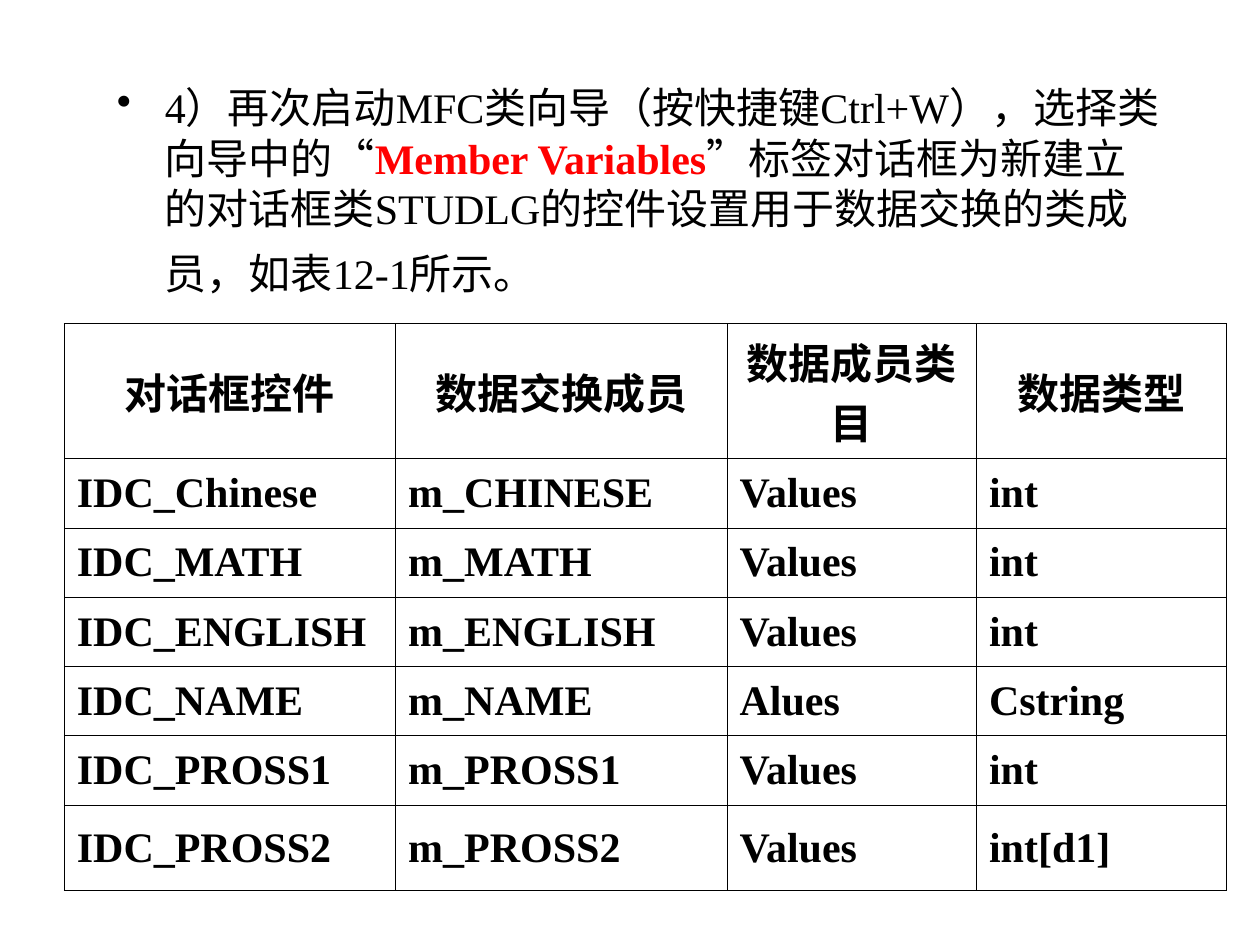
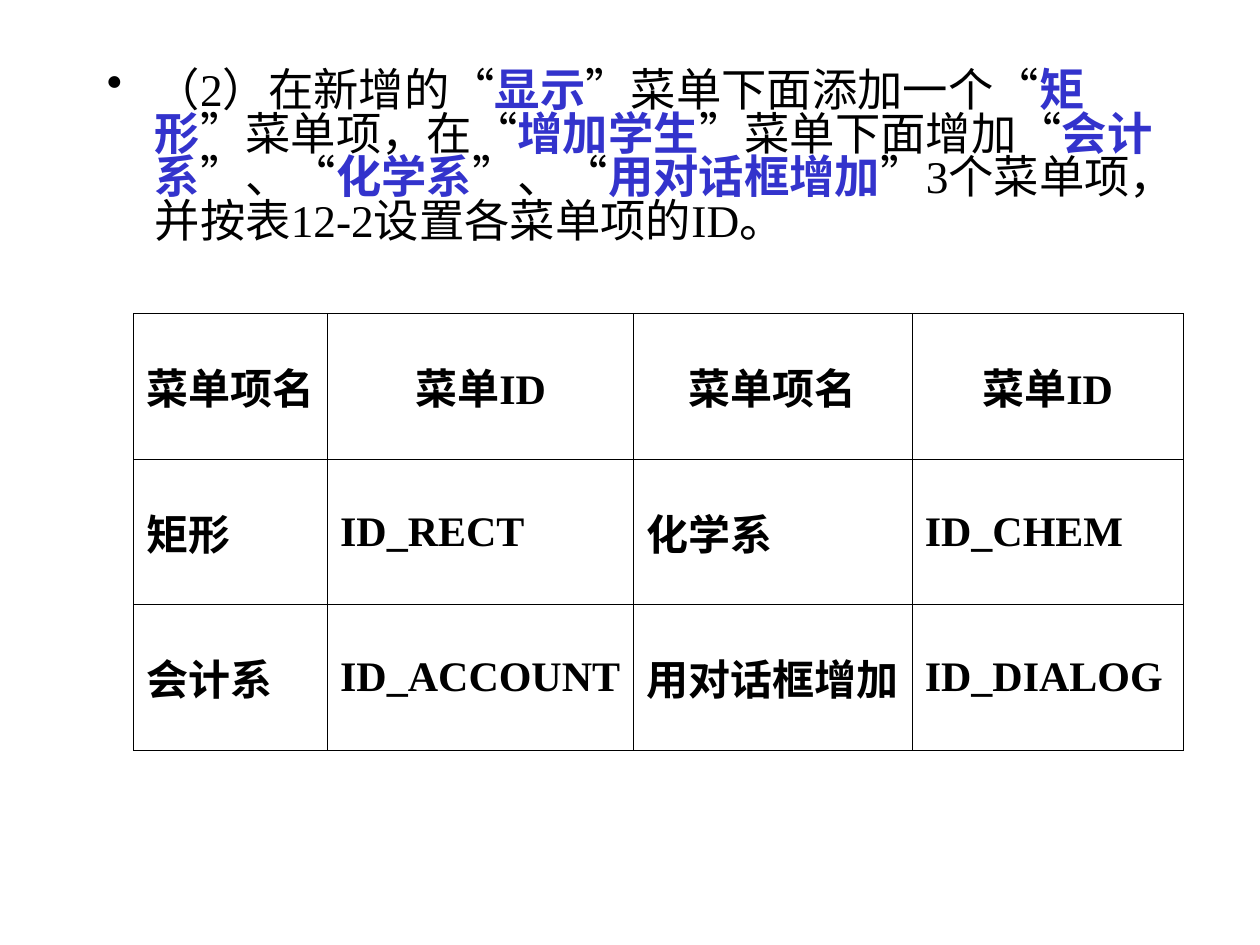
from lxml import etree
from pptx import Presentation
from pptx.dml.color import RGBColor
from pptx.enum.text import MSO_ANCHOR, PP_ALIGN
from pptx.oxml.ns import qn
from pptx.util import Inches, Pt

MID = MSO_ANCHOR.MIDDLE
CENTER = PP_ALIGN.CENTER
JUSTIFY = PP_ALIGN.JUSTIFY

HUES = {"ink": "000000", "red": "FF0000", "blue": "3333CC"}
FACE = "Times New Roman"
WIDE, HIGH = Inches(10), Inches(7.5)
COLS, ROWS = 100, 75
HAIR, BOLD = 0.45, 0.96
INDENT = Inches(0.38)


def across(n):
    return round(n * WIDE / COLS)


def down(n):
    return round(n * HIGH / ROWS)


def frame(box):
    left, top, width, height = box
    return across(left), down(top), across(width), down(height)


def add_run(para, text, size, hue="ink", bold=False):
    run = para.add_run()
    run.text = text
    font = run.font
    font.name, font.size, font.bold = FACE, Pt(size), bold
    font.color.rgb = RGBColor.from_string(HUES[hue])


def add_dot(para):
    props = para._p.get_or_add_pPr()
    props.set("marL", str(INDENT))
    props.set("indent", str(-INDENT))
    tint = etree.SubElement(props, qn("a:buClr"))
    etree.SubElement(tint, qn("a:srgbClr"), val=HUES["ink"])
    etree.SubElement(props, qn("a:buChar"), char="•")


def add_step(slide, box, runs, size, mark, lead=None):
    text = slide.shapes.add_textbox(*frame(box)).text_frame
    text.word_wrap = True
    para = text.paragraphs[0]
    add_dot(para)
    if lead:
        para.line_spacing = lead
    for i, words in enumerate(runs):
        key = i % 2 == 1
        add_run(para, words, size, mark if key else "ink", key)
    return para


def add_edge(cell, side, weight):
    line = etree.SubElement(cell._tc.get_or_add_tcPr(), qn(f"a:ln{side}"),
                            w=str(Pt(weight)))
    fill = etree.SubElement(line, qn("a:solidFill"))
    etree.SubElement(fill, qn("a:srgbClr"), val=HUES["ink"])


def fill_cell(cell, words, align, heavy):
    for side in "LRTB":
        add_edge(cell, side, BOLD if side in heavy else HAIR)
    cell.fill.background()
    cell.vertical_anchor = MID
    para = cell.text_frame.paragraphs[0]
    para.alignment = align
    add_run(para, words, 24, bold=True)


def add_grid(slide, spot, widths, heights, data, split=None):
    box = (*spot, sum(widths), sum(heights))
    grid = slide.shapes.add_table(len(data), len(widths), *frame(box)).table
    grid.first_row = grid.horz_banding = False
    for col, width in zip(grid.columns, widths):
        col.width = across(width)
    for row, height in zip(grid.rows, heights):
        row.height = down(height)
    for r, line in enumerate(data):
        for c, words in enumerate(line):
            heavy = ""
            if split is not None:
                heavy = {split - 1: "R", split: "L"}.get(c, "")
            fill_cell(grid.cell(r, c), words, JUSTIFY if r else CENTER, heavy)


def add_fields(slide):
    step = add_step(slide, (8.3, 6, 85, 21.2), [
        "4）再次启动MFC类向导（按快捷键Ctrl+W），选择类向导中的“",
        "Member Variables",
        "”标签对话框为新建立的对话框类STUDLG的控件设置用于数据交换的"
        "类成员，如表12-1所示。",
    ], 24, "red")
    add_run(step, " ", 32)
    kinds = {"Chinese": ("Values", "int"), "MATH": ("Values", "int"),
             "ENGLISH": ("Values", "int"), "NAME": ("Alues", "Cstring"),
             "PROSS1": ("Values", "int"), "PROSS2": ("Values", "int[d1]")}
    head = ("对话框控件", "数据交换成员", "数据成员类目", "数据类型")
    data = [head] + [(f"IDC_{name}", f"m_{name.upper()}", *kind)
                     for name, kind in kinds.items()]
    add_grid(slide, (5.1, 25.7), [26.3] * 2 + [19.8] * 2,
             [10.7] + [5.5] * 5 + [6.8], data)


def add_menus(slide):
    add_step(slide, (7.5, 5.2, 85, 18.9), [
        "（2）在新增的“", "显示", "”菜单下面添加一个“", "矩形",
        "”菜单项，在“", "增加学生", "”菜单下面增加“", "会计系",
        "”、“", "化学系", "”、“", "用对话框增加",
        "”3个菜单项，并按表12-2设置各菜单项的ID。",
    ], 25.9, "blue", 0.8)
    data = [("菜单项名", "菜单ID") * 2,
            ("矩形", "ID_RECT", "化学系", "ID_CHEM"),
            ("会计系", "ID_ACCOUNT", "用对话框增加", "ID_DIALOG")]
    add_grid(slide, (10.6, 24.9), [15.4, 24.3, 22.1, 21.5],
             [11.55] * 3, data, split=2)


def main():
    deck = Presentation()
    deck.slide_width, deck.slide_height = WIDE, HIGH
    for build in (add_fields, add_menus):
        build(deck.slides.add_slide(deck.slide_layouts[6]))
    deck.save("out.pptx")


if __name__ == "__main__":
    main()
